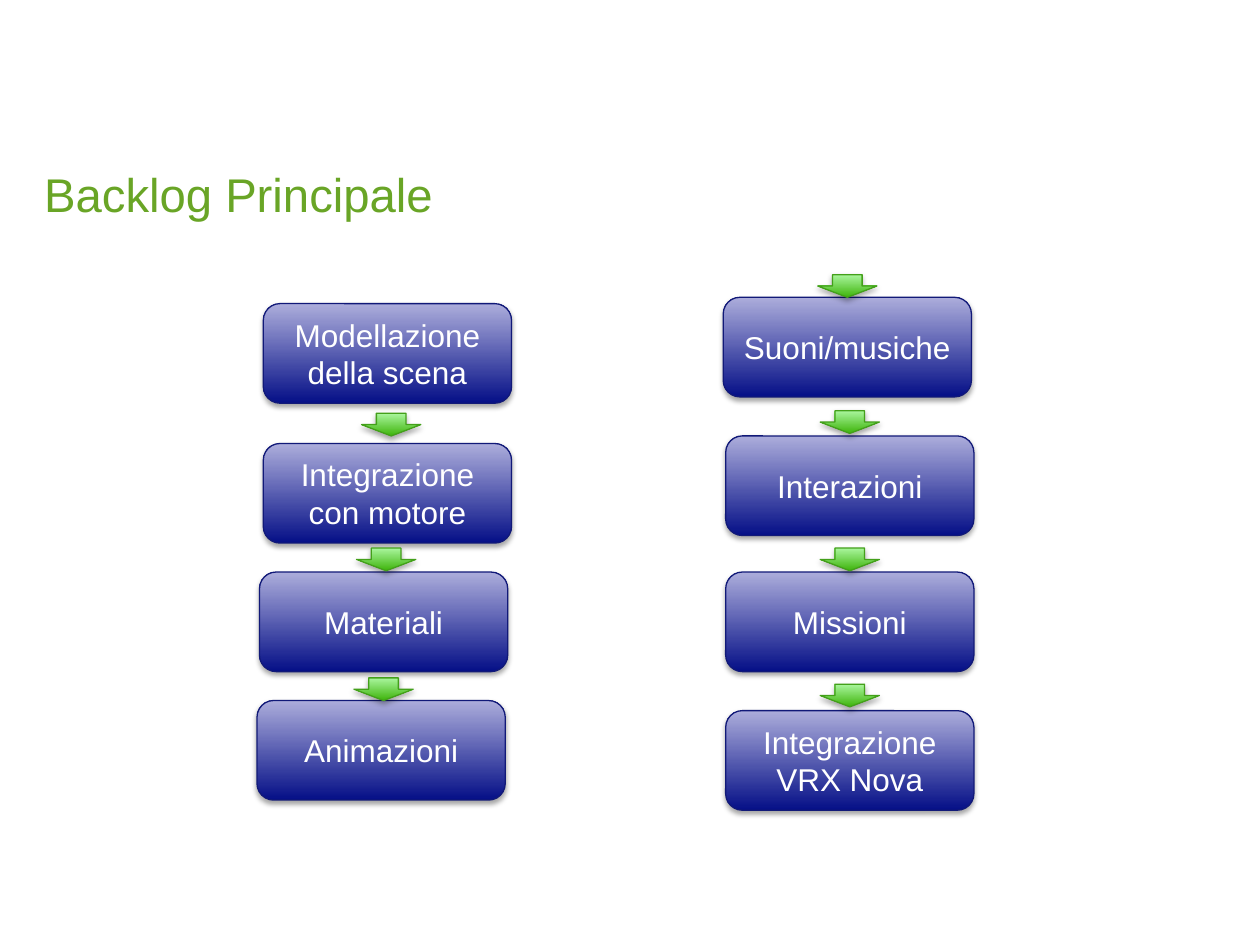
from lxml import etree
from pptx import Presentation
from pptx.dml.color import RGBColor
from pptx.enum import shapes, text
from pptx.oxml import ns
from pptx.util import Inches, Pt

BOX_W, BOX_H = 1.97, 0.79
ARROW_W, ARROW_H = 0.47, 0.18
BLUE = ("050F87", "ACADDB", "111978")
GREEN = ("3EB40B", "AAF69E", "43A01A")

STEPS = [
    (2.09, 2.41, "Modellazione della scena"),
    (2.09, 3.52, "Integrazione con motore"),
    (2.06, 4.54, "Materiali"),
    (2.04, 5.56, "Animazioni"),
    (5.74, 2.36, "Suoni/musiche"),
    (5.76, 3.46, "Interazioni"),
    (5.76, 4.54, "Missioni"),
    (5.76, 5.64, "Integrazione VRX Nova"),
]
ARROWS = [
    (2.87, 3.28), (2.83, 4.35), (2.81, 5.38),
    (6.49, 2.18), (6.51, 3.26), (6.51, 4.35), (6.51, 5.43),
]


def rgb(value):
    return RGBColor.from_string(value)


def set_font(p, size, color):
    for r in p.runs:
        r.font.name = "Arial"
        r.font.size = Pt(size)
        r.font.color.rgb = rgb(color)


def add_shadow(sp):
    sp.shadow.inherit = False
    effects = sp._element.spPr.find(ns.qn("a:effectLst"))
    shadow = etree.SubElement(effects, ns.qn("a:outerShdw"), blurRad=str(Pt(3.1)),
                              dist=str(Pt(1.8)), dir="5400000", rotWithShape="0")
    color = etree.SubElement(shadow, ns.qn("a:srgbClr"), val="000000")
    etree.SubElement(color, ns.qn("a:alpha"), val="35000")


def add_glossy_shape(s, kind, x, y, w, h, colors):
    """Add a shape shaded from dark at the bottom to light at the top."""
    dark, light, outline = colors
    sp = s.shapes.add_shape(kind, Inches(x), Inches(y), Inches(w), Inches(h))
    sp.fill.gradient()
    sp.fill.gradient_angle = 90
    for stop, color in zip(sp.fill.gradient_stops, (dark, light)):
        stop.color.rgb = rgb(color)
    sp.line.color.rgb = rgb(outline)
    sp.line.width = Pt(0.75)
    add_shadow(sp)
    return sp


def add_step(s, x, y, label):
    sp = add_glossy_shape(s, shapes.MSO_SHAPE.ROUNDED_RECTANGLE,
                          x, y, BOX_W, BOX_H, BLUE)
    tf = sp.text_frame
    tf.word_wrap = True
    tf.vertical_anchor = text.MSO_ANCHOR.MIDDLE
    tf.text = label
    p = tf.paragraphs[0]
    p.alignment = text.PP_ALIGN.CENTER
    set_font(p, 18, "FFFFFF")


def set_title(s, label):
    sp = s.shapes.title
    sp.left, sp.top = Inches(0.35), Inches(1.31)
    sp.width, sp.height = Inches(8.58), Inches(1.02)
    tf = sp.text_frame
    tf.margin_left = tf.margin_top = tf.margin_right = tf.margin_bottom = 0
    tf.word_wrap = True
    tf.auto_size = text.MSO_AUTO_SIZE.NONE
    tf.vertical_anchor = text.MSO_ANCHOR.TOP
    tf.text = label
    p = tf.paragraphs[0]
    p.alignment = text.PP_ALIGN.LEFT
    set_font(p, 27, "69A526")


def main():
    prs = Presentation()
    prs.slide_width, prs.slide_height = Inches(10), Inches(7.5)
    s = prs.slides.add_slide(prs.slide_layouts.get_by_name("Title Only"))
    set_title(s, "Backlog Principale")
    for x, y, label in STEPS:
        add_step(s, x, y, label)
    for x, y in ARROWS:
        add_glossy_shape(s, shapes.MSO_SHAPE.DOWN_ARROW,
                         x, y, ARROW_W, ARROW_H, GREEN)
    prs.save("out.pptx")


if __name__ == "__main__":
    main()
